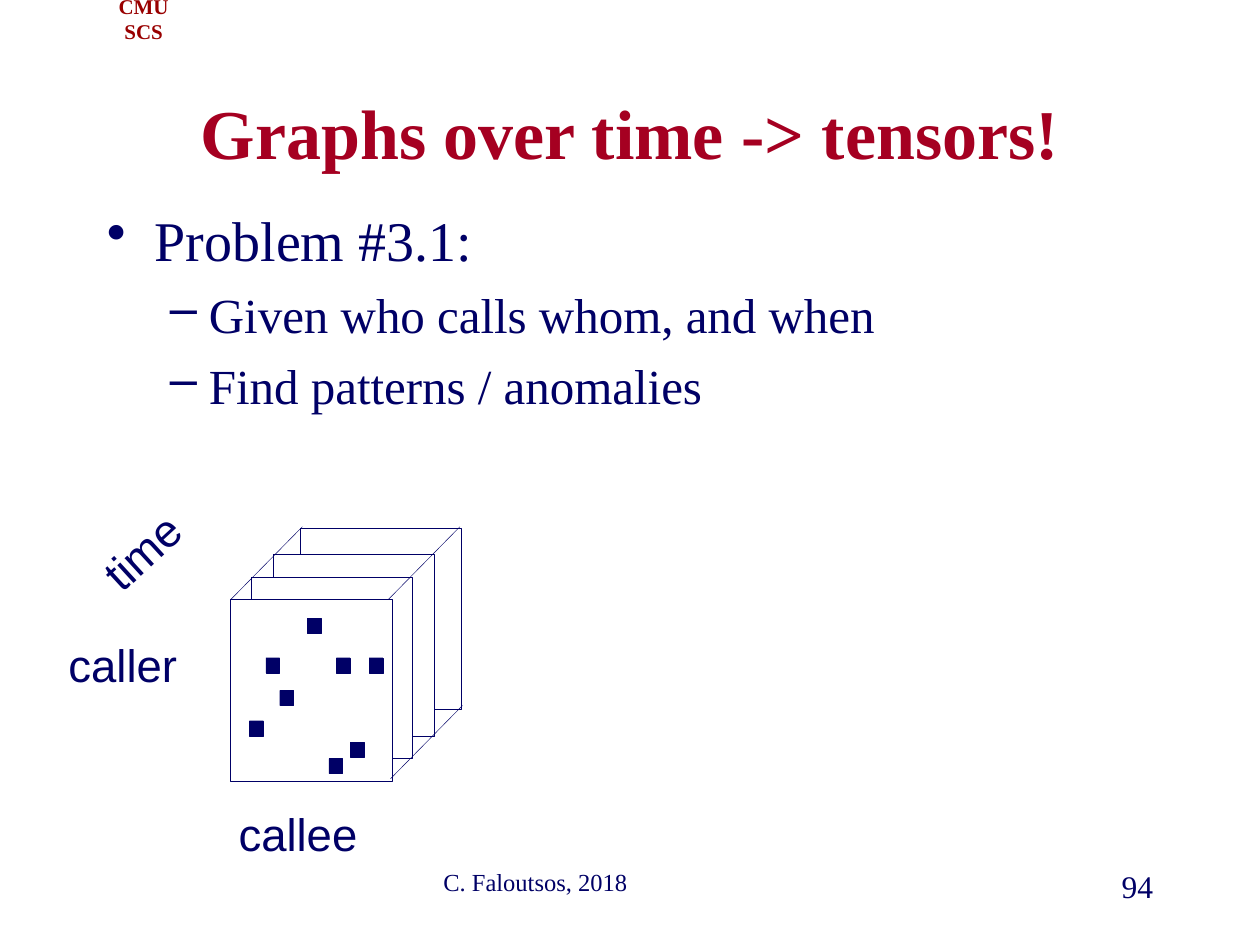
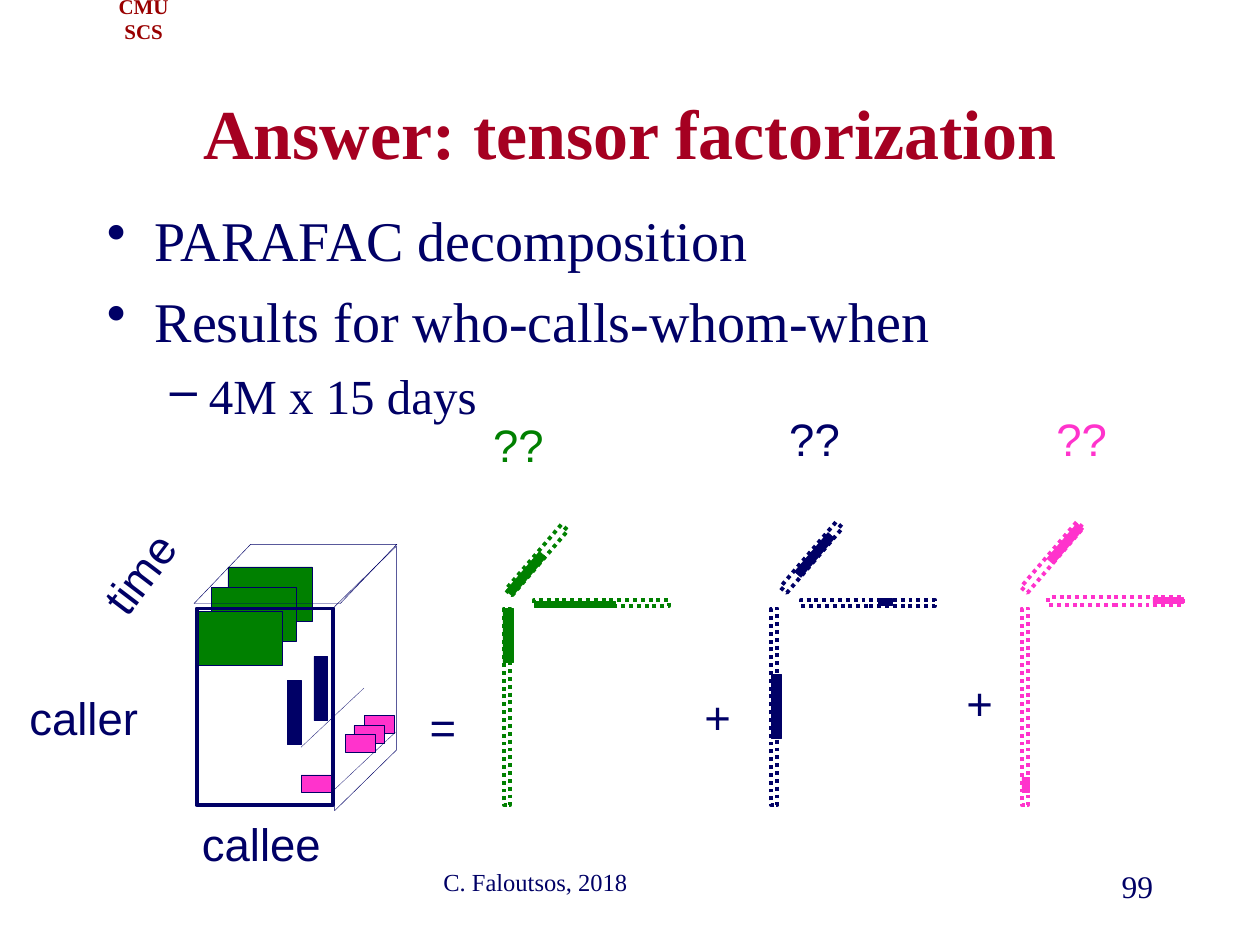
from lxml import etree
from pptx import Presentation
from pptx.dml.color import RGBColor
from pptx.enum.dml import MSO_LINE
from pptx.enum.shapes import MSO_CONNECTOR, MSO_SHAPE
from pptx.enum.text import MSO_ANCHOR, PP_ALIGN
from pptx.oxml.ns import qn
from pptx.util import Inches, Pt

NAVY = RGBColor(0x00, 0x00, 0x66)
CRIMSON = RGBColor(0xA5, 0x00, 0x21)
DARK_RED = RGBColor(0x99, 0x00, 0x00)
GREEN = RGBColor(0x00, 0x80, 0x00)
PINK = RGBColor(0xFF, 0x33, 0xCC)
WHITE = RGBColor(0xFF, 0xFF, 0xFF)

SERIF = "Times New Roman"
SANS = "Arial"
LEFT, CENTER, RIGHT = PP_ALIGN.LEFT, PP_ALIGN.CENTER, PP_ALIGN.RIGHT
TOP, MIDDLE = MSO_ANCHOR.TOP, MSO_ANCHOR.MIDDLE
RECTANGLE, PARALLELOGRAM = MSO_SHAPE.RECTANGLE, MSO_SHAPE.PARALLELOGRAM
STRAIGHT = MSO_CONNECTOR.STRAIGHT
DOTTED = MSO_LINE.ROUND_DOT

HAIRLINE, THICK = 0.25, 2.25
TIME_ANGLE = 310.6
BULLET_LEVELS = [
    {"size": 32, "char": "•", "margin": 0.38, "hanging": 0.38, "before": 8},
    {"size": 28, "char": "–", "margin": 0.81, "hanging": 0.31, "before": 7},
]


def style_text(paragraph, size, font, color, bold=False):
    """Set the font of a whole paragraph."""
    paragraph.font.size = Pt(size)
    paragraph.font.name = font
    paragraph.font.color.rgb = color
    paragraph.font.bold = bold


def add_text(slide, box, text, size, font=SERIF, color=NAVY, align=LEFT,
             anchor=TOP, bold=False, wrap=True, rotation=0):
    """Add a one-paragraph text box."""
    shape = slide.shapes.add_textbox(*map(Inches, box))
    shape.rotation = rotation
    frame = shape.text_frame
    frame.word_wrap = wrap
    frame.vertical_anchor = anchor
    paragraph = frame.paragraphs[0]
    paragraph.text = text
    paragraph.alignment = align
    style_text(paragraph, size, font, color, bold)


def add_label(slide, text, left, top, width, color=NAVY, rotation=0):
    """Add a diagram label on one line."""
    add_text(slide, (left, top, width, 0.54), text, 26, SANS, color, CENTER,
             wrap=False, rotation=rotation)


def add_block(slide, box, fill=None, line=NAVY, weight=HAIRLINE, dash=None,
              rotation=0, kind=RECTANGLE):
    """Add an outlined shape, hollow unless a fill is given."""
    shape = slide.shapes.add_shape(kind, *map(Inches, box))
    shape.shadow.inherit = False
    shape.rotation = rotation
    if fill is None:
        shape.fill.background()
    else:
        shape.fill.solid()
        shape.fill.fore_color.rgb = fill
    shape.line.color.rgb = line
    shape.line.width = Pt(weight)
    if dash is not None:
        shape.line.dash_style = dash
    return shape


def add_edge(slide, start, run, rise, dash=None):
    """Add a hairline going right by run and up by rise."""
    left, top = start
    edge = slide.shapes.add_connector(
        STRAIGHT, *map(Inches, (left, top, left + run, top - rise)))
    edge.line.color.rgb = NAVY
    edge.line.width = Pt(HAIRLINE)
    if dash is not None:
        edge.line.dash_style = dash
    etree.SubElement(edge.element.spPr, qn("a:effectLst"))


def add_bullets(slide, box, items):
    """Add the bulleted body from (level, text) pairs."""
    frame = slide.shapes.add_textbox(*map(Inches, box)).text_frame
    frame.word_wrap = True
    for index, (level, text) in enumerate(items):
        style = BULLET_LEVELS[level]
        paragraph = frame.paragraphs[0] if index == 0 else frame.add_paragraph()
        paragraph.text = text
        paragraph.level = level
        properties = paragraph._p.get_or_add_pPr()
        properties.set("marL", str(Inches(style["margin"])))
        properties.set("indent", str(-Inches(style["hanging"])))
        bullet = etree.SubElement(properties, qn("a:buChar"))
        bullet.set("char", style["char"])
        if index:
            paragraph.space_before = Pt(style["before"])
        style_text(paragraph, style["size"], SERIF, NAVY)


def add_page(presentation, title, items, number):
    """Add a slide with header, title, bullets and footer."""
    slide = presentation.slides.add_slide(presentation.slide_layouts[6])
    add_text(slide, (0.67, 0, 0.94, 0.3), "CMU SCS", 12, color=DARK_RED,
             align=CENTER, anchor=MIDDLE, bold=True, wrap=False)
    add_text(slide, (0.75, 0.67, 8.5, 0.75), title, 40, color=CRIMSON,
             align=CENTER, anchor=MIDDLE, bold=True)
    add_bullets(slide, (0.75, 1.58, 8.5, 5.08), items)
    add_text(slide, (3.42, 6.83, 3.17, 0.5), "C. Faloutsos, 2018", 14)
    add_text(slide, (7.17, 6.83, 2.08, 0.5), number, 18, align=RIGHT)
    return slide


def add_matrix_stack(slide, left, top):
    """Draw call matrices stacked over time, the front one at left, top."""
    width, height = 1.28, 1.44
    for dx, dy in [(0.55, -0.57), (0.34, -0.36), (0.16, -0.18), (0, 0)]:
        add_block(slide, (left + dx, top + dy, width, height), WHITE)
    for dx, dy in [(0, 0), (1.25, 0), (1.27, 1.42)]:
        add_edge(slide, (left + dx, top + dy), 0.57, 0.58)
    calls = [(0.84, 0.46), (0.28, 0.46), (1.1, 0.46), (0.15, 0.96),
             (0.39, 0.72), (0.61, 0.15), (0.78, 1.26), (0.95, 1.13)]
    for dx, dy in calls:
        add_block(slide, (left + dx, top + dy, 0.11, 0.12), NAVY)
    add_label(slide, "callee", left - 0.04, top + 1.59, 1.15)
    add_label(slide, "caller", left - 1.39, top + 0.25, 1.07)
    add_label(slide, "time", left - 1.15, top - 0.65, 0.89, rotation=317.5)


def add_tensor(slide, left, top):
    """Draw the tensor with its dense blocks, front face at left, top."""
    def blocks(color, width, height, offsets):
        for dx, dy in offsets:
            add_block(slide, (left + dx, top + dy, width, height), color)

    blocks(PINK, 0.24, 0.14, [(1.33, 0.85), (1.25, 0.93)])
    blocks(GREEN, 0.67, 0.43, [(0.25, -0.33), (0.12, -0.17)])
    add_block(slide, (left, top, 1.08, 1.56), weight=THICK)
    blocks(NAVY, 0.11, 0.51, [(0.72, 0.57)])
    blocks(PINK, 0.24, 0.14, [(0.83, 1.32)])
    lid = add_block(slide, (left - 0.02, top - 0.51, 1.61, 0.47),
                    kind=PARALLELOGRAM)
    lid.adjustments[0] = 0.956
    side = add_block(slide, (left + 0.29, top + 0.31, 2.1, 0.49),
                     rotation=90, kind=PARALLELOGRAM)
    side.adjustments[0] = 0.98
    side.element.spPr.get_or_add_xfrm().set("flipV", "1")
    blocks(GREEN, 0.67, 0.43, [(0.01, 0.02)])
    add_edge(slide, (left + 1.08, top + 1.45), 0.5, 0.47, DOTTED)
    blocks(PINK, 0.24, 0.14, [(1.18, 1)])
    blocks(NAVY, 0.11, 0.51, [(0.93, 0.38)])
    add_edge(slide, (left + 0.83, top + 1.1), 0.5, 0.47, DOTTED)
    add_label(slide, "caller", left - 1.43, top + 0.6, 1.07)
    add_label(slide, "callee", left - 0.06, top + 1.6, 1.15)
    add_label(slide, "time", left - 0.9, top - 0.55, 0.89, rotation=307.3)


def add_factor(slide, left, top, color, label, caller, callee, time):
    """Draw one factor: three dotted vectors, each with its active part."""
    vectors = [(((0, 0, 0.05, 1.56), caller), 0),
               (callee, 0), (time, TIME_ANGLE)]
    for (outline, active), angle in vectors:
        for (dx, dy, width, height), fill in [(outline, None), (active, color)]:
            box = (left + dx, top + dy, width, height)
            if fill is None:
                add_block(slide, box, None, color, THICK, DOTTED, angle)
            else:
                add_block(slide, box, fill, color, rotation=angle)
    dx, dy = label
    add_label(slide, "??", left + dx, top + dy, 0.61, color)


def add_factorization(slide, top):
    """Draw the tensor as a sum of three factors."""
    add_tensor(slide, 1.56, top)
    add_factor(slide, 4, top, GREEN, (-0.19, -1.57),
               caller=(-0.01, 0, 0.08, 0.43),
               callee=((0.24, -0.07, 1.07, 0.05), (0.24, -0.06, 0.64, 0.05)),
               time=((-0.08, -0.42, 0.68, 0.07), (-0.03, -0.31, 0.41, 0.07)))
    add_factor(slide, 6.12, top, NAVY, (0.04, -1.62),
               caller=(0, 0.52, 0.08, 0.51),
               callee=((0.24, -0.07, 1.06, 0.05), (0.85, -0.08, 0.11, 0.05)),
               time=((-0.02, -0.44, 0.68, 0.07), (0.14, -0.46, 0.41, 0.07)))
    add_factor(slide, 8.11, top, PINK, (0.17, -1.62),
               caller=(0, 1.34, 0.06, 0.12),
               callee=((0.21, -0.09, 1.07, 0.06), (1.04, -0.09, 0.24, 0.05)),
               time=((-0.1, -0.44, 0.68, 0.07), (0.16, -0.55, 0.37, 0.07)))
    for sign, left, dy in [("=", 3.31, 0.67), ("+", 5.49, 0.59),
                           ("+", 7.57, 0.48)]:
        add_label(slide, sign, left, top + dy, 0.41)


def main():
    """Build both slides and save them."""
    presentation = Presentation()
    presentation.slide_width = Inches(10)
    presentation.slide_height = Inches(7.5)

    problem = add_page(presentation, "Graphs over time -> tensors!", [
        (0, "Problem #3.1:"),
        (1, "Given who calls whom, and when"),
        (1, "Find patterns / anomalies"),
    ], "94")
    add_matrix_stack(problem, 1.83, 4.76)

    answer = add_page(presentation, "Answer: tensor factorization", [
        (0, "PARAFAC decomposition"),
        (0, "Results for who-calls-whom-when"),
        (1, "4M x 15 days"),
    ], "99")
    add_factorization(answer, 4.83)

    presentation.save("out.pptx")


if __name__ == "__main__":
    main()
